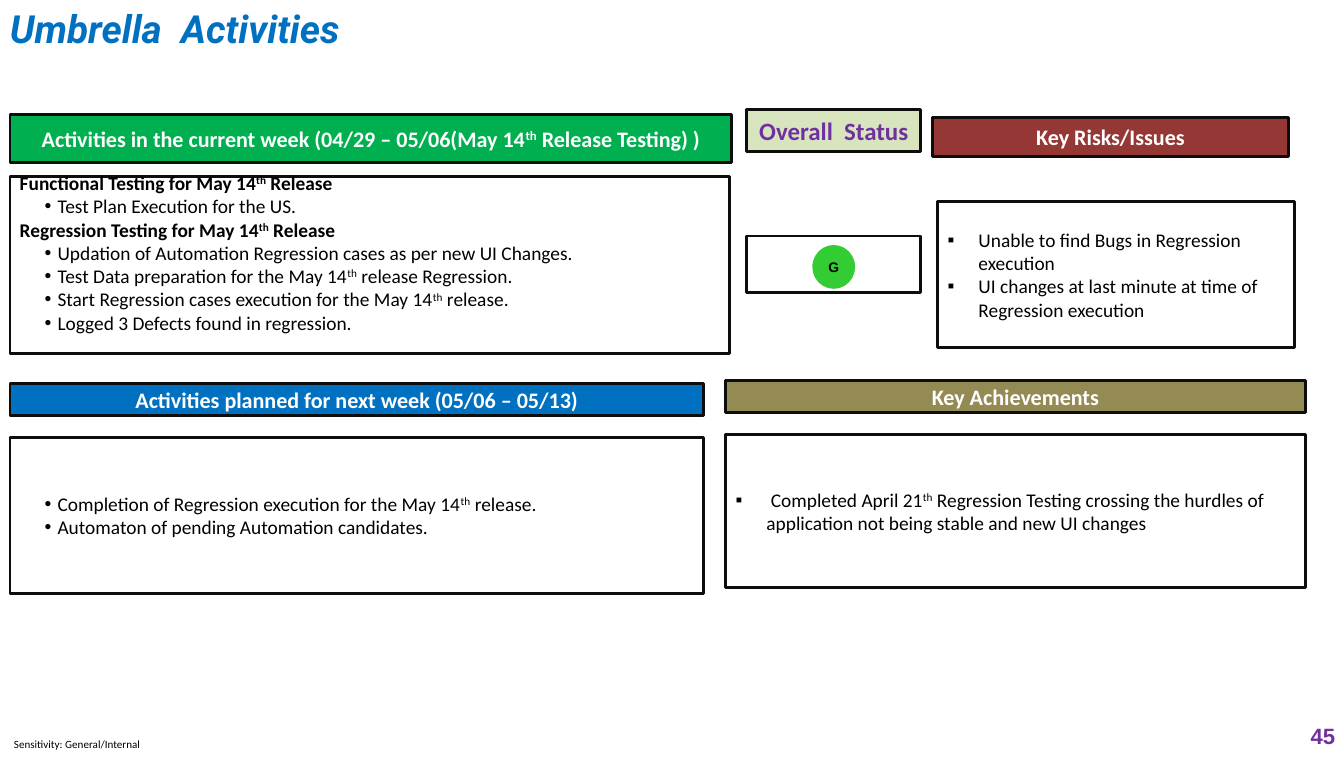
from lxml.etree import SubElement
from pptx import Presentation
from pptx.dml.color import RGBColor
from pptx.enum.shapes import MSO_SHAPE as Preset
from pptx.enum.text import MSO_ANCHOR as Anchor, MSO_AUTO_SIZE as AutoSize, PP_ALIGN as Align
from pptx.oxml.ns import qn
from pptx.util import Pt

PX = 9144  # 100 px to the inch

BLACK = RGBColor(0x00, 0x00, 0x00)
WHITE = RGBColor(0xFF, 0xFF, 0xFF)
OUTLINE = RGBColor(0x0D, 0x0D, 0x0D)
BLUE = RGBColor(0x00, 0x70, 0xC0)
GREEN = RGBColor(0x00, 0xB0, 0x50)
STATUS_GREEN = RGBColor(0x33, 0xCC, 0x33)
PALE_GREEN = RGBColor(0xD7, 0xE4, 0xBD)
RED = RGBColor(0x95, 0x37, 0x35)
OLIVE = RGBColor(0x94, 0x8A, 0x54)
PURPLE = RGBColor(0x70, 0x30, 0xA0)

# Bullet character, left margin and hanging indent in px
DOT = ("•", 38, -13)
SQUARE = ("▪", 31, -31)

CURRENT_WEEK = [
    ("Functional Testing for May 14^th^ Release", None),
    ("Test Plan Execution for the US.", DOT),
    ("Regression Testing for May 14^th^ Release", None),
    ("Updation of Automation Regression cases as per new UI Changes.", DOT),
    ("Test Data preparation for the May 14^th^ release Regression.", DOT),
    ("Start Regression cases execution for the May 14^th^ release.", DOT),
    ("Logged 3 Defects found in regression.", DOT),
]
NEXT_WEEK = [
    ("Completion of Regression execution for the May 14^th^ release.", DOT),
    ("Automaton of pending Automation candidates.", DOT),
]
RISKS = [
    ("Unable to find Bugs in Regression execution", SQUARE),
    ("UI changes at last minute at time of Regression execution", SQUARE),
]
ACHIEVEMENTS = [
    (" Completed April 21^th^ Regression Testing crossing the hurdles of "
     "application not being stable and new UI changes", SQUARE),
]


class StatusSlide:
    def __init__(self, presentation):
        self.slide = presentation.slides.add_slide(presentation.slide_layouts[5])

    def add_text(self, paragraph, text, color=BLACK, align=Align.LEFT, **font):
        """Add text to a paragraph; parts between ^ marks are superscript."""
        paragraph.alignment = align
        values = {"name": "Calibri", "size": 14, "bold": False, **font}
        values["size"] = Pt(values["size"])
        for index, part in enumerate(text.split("^")):
            run = paragraph.add_run()
            run.text = part
            run.font.color.rgb = color
            for name, value in values.items():
                setattr(run.font, name, value)
            if index % 2:
                run.font._element.set("baseline", "30000")

    def frame(self, shape, anchor=Anchor.MIDDLE, wrap=True, margins=(10, 5, 10, 5)):
        text_frame = shape.text_frame
        sides = ("margin_left", "margin_top", "margin_right", "margin_bottom")
        values = {"vertical_anchor": anchor, "word_wrap": wrap, "auto_size": AutoSize.NONE,
                  **{side: margin * PX for side, margin in zip(sides, margins)}}
        for name, value in values.items():
            setattr(text_frame, name, value)
        return text_frame

    def title(self, box, text):
        shape = self.slide.shapes.title
        for name, value in zip(("left", "top", "width", "height"), box):
            setattr(shape, name, value * PX)
        self.add_text(self.frame(shape).paragraphs[0], text, BLUE,
                      name="Roboto", size=28, bold=True, italic=True)

    def label(self, box, text, color=BLACK, align=Align.LEFT, anchor=Anchor.MIDDLE,
              margins=(10, 5, 10, 5), **font):
        shape = self.slide.shapes.add_textbox(*(value * PX for value in box))
        text_frame = self.frame(shape, anchor, margins=margins)
        self.add_text(text_frame.paragraphs[0], text, color, align, **font)

    def shape(self, box, fill=None, outline=OUTLINE, preset=Preset.RECTANGLE):
        shape = self.slide.shapes.add_shape(preset, *(value * PX for value in box))
        shape.shadow.inherit = False
        if fill is None:
            shape.fill.background()
        else:
            shape.fill.solid()
            shape.fill.fore_color.rgb = fill
        if outline is None:
            shape.line.fill.background()
        else:
            shape.line.color.rgb = outline
            shape.line.width = Pt(2)
        return shape

    def header(self, box, text, fill, color=WHITE, size=16):
        text_frame = self.frame(self.shape(box, fill))
        self.add_text(text_frame.paragraphs[0], text, color, Align.CENTER, size=size, bold=True)

    def panel(self, box, items, **layout):
        text_frame = self.frame(self.shape(box), **layout)
        for index, (text, bullet) in enumerate(items):
            paragraph = text_frame.add_paragraph() if index else text_frame.paragraphs[0]
            if bullet:
                self.bullet(paragraph, *bullet)
            self.add_text(paragraph, text, bold=bullet is None)

    def bullet(self, paragraph, character, margin, indent):
        properties = paragraph._p.get_or_add_pPr()
        properties.set("marL", str(margin * PX))
        properties.set("indent", str(indent * PX))
        SubElement(properties, qn("a:buFont")).set("typeface", "Arial")
        SubElement(properties, qn("a:buChar")).set("char", character)

    def status_light(self, box, letter, fill):
        shape = self.shape(box, fill, outline=None, preset=Preset.OVAL)
        text_frame = self.frame(shape, wrap=False, margins=(0, 0, 0, 0))
        self.add_text(text_frame.paragraphs[0], letter, align=Align.CENTER,
                      name="Arial", size=10, bold=True)


def main():
    presentation = Presentation()
    presentation.slide_width = 1350 * PX
    presentation.slide_height = 760 * PX
    page = StatusSlide(presentation)

    page.title((0, 0, 1183, 57), "Umbrella  Activities")
    page.label((0, 735, 155, 25), "Sensitivity: General/Internal", size=8,
               margins=(14, 0, 0, 0))
    page.label((1284, 720, 67, 37), "45", PURPLE, Align.RIGHT, Anchor.TOP,
               name="Arial", size=16, bold=True)

    page.header((10, 115, 725, 48),
                "Activities in the current week (04/29 – 05/06(May 14^th^ Release Testing) )", GREEN)
    page.panel((10, 177, 723, 178), CURRENT_WEEK, anchor=Anchor.TOP, margins=(10, -5, 10, 5))
    page.header((10, 385, 697, 32), "Activities planned for next week (05/06 – 05/13)", BLUE)
    page.panel((10, 439, 697, 157), NEXT_WEEK)

    page.header((937, 118, 357, 39), "Key Risks/Issues", RED)
    page.panel((942, 202, 358, 147), RISKS)
    page.header((729, 382, 582, 32), "Key Achievements", OLIVE)
    page.panel((729, 436, 582, 154), ACHIEVEMENTS)

    page.header((750, 110, 175, 42), "Overall  Status", PALE_GREEN, PURPLE, size=18)
    page.shape((750, 237, 175, 57))
    page.status_light((816, 246, 43, 44), "G", STATUS_GREEN)

    presentation.save("out.pptx")


if __name__ == "__main__":
    main()
